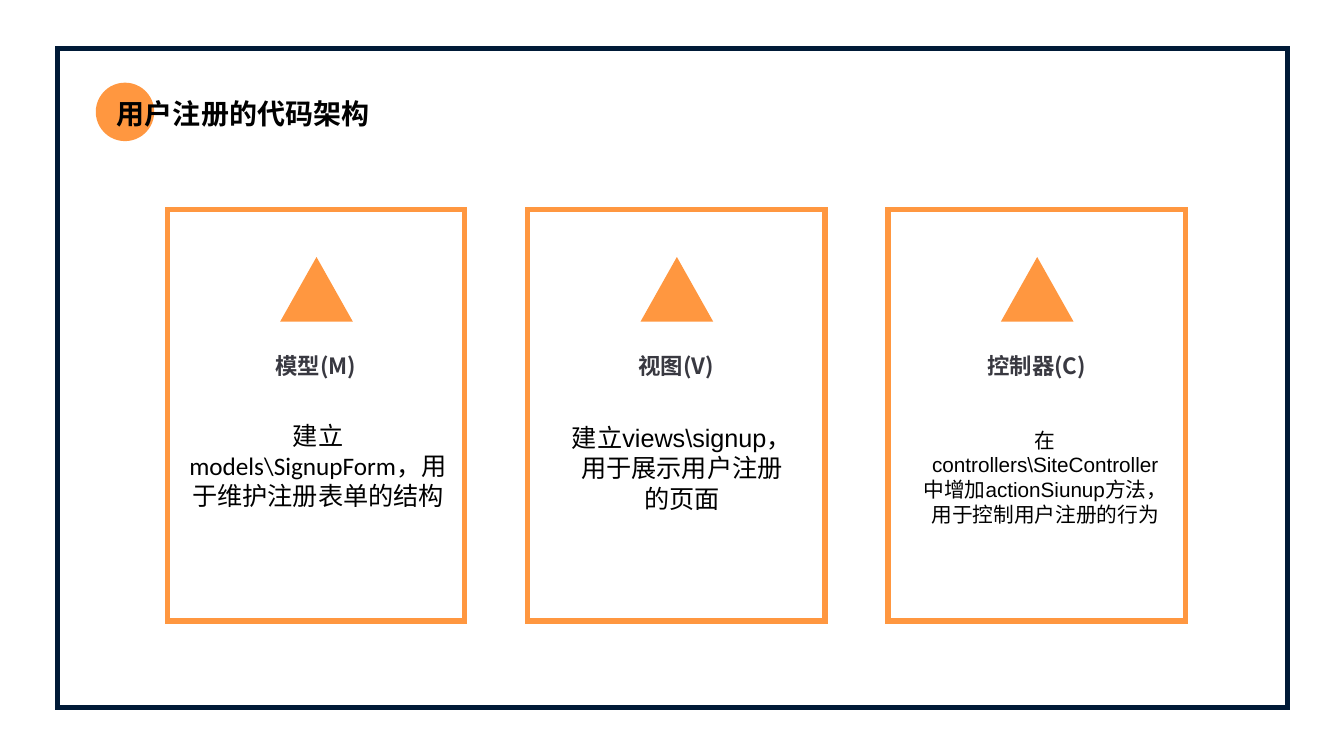
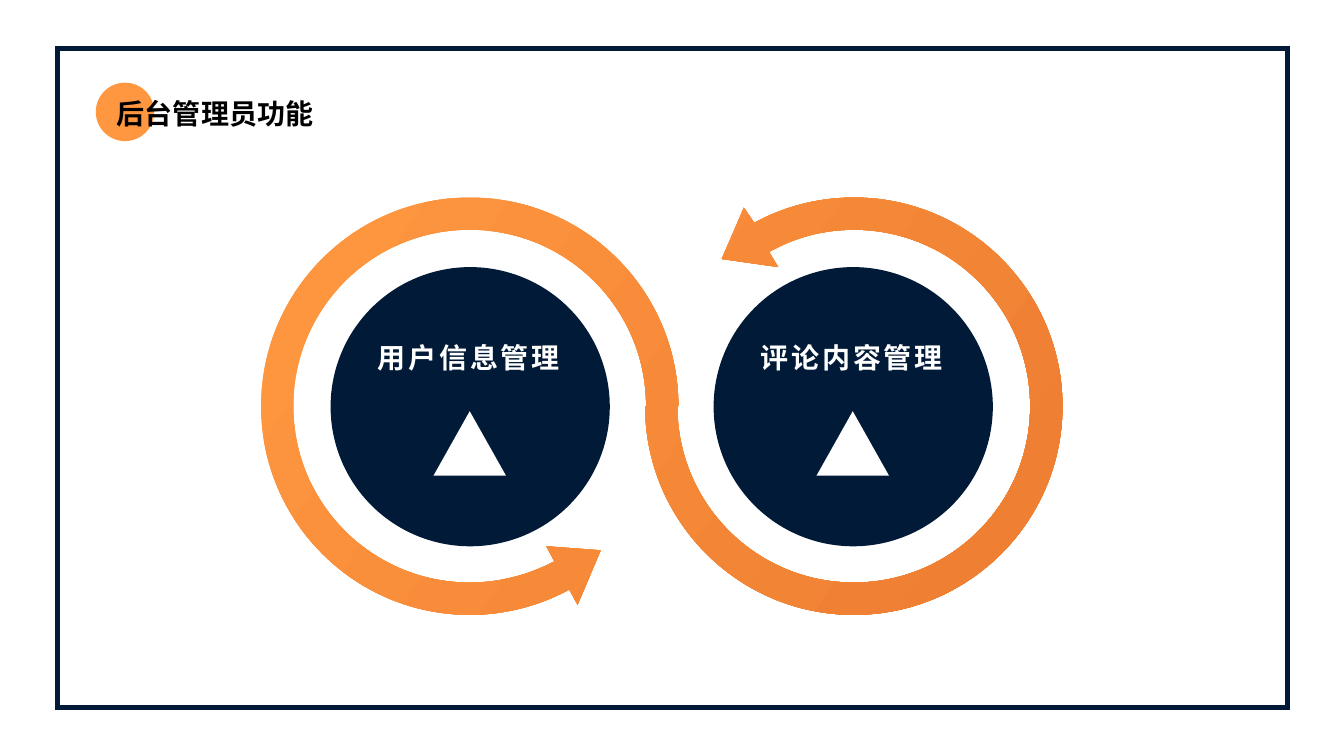
from dataclasses import dataclass
from itertools import chain, pairwise
from math import cos, radians, sin, tan

from lxml import etree
from pptx import Presentation
from pptx.dml.color import RGBColor
from pptx.enum.shapes import MSO_SHAPE
from pptx.enum.text import MSO_ANCHOR, MSO_AUTO_SIZE, PP_ALIGN
from pptx.oxml.ns import qn
from pptx.shapes.autoshape import Shape
from pptx.slide import Slide, SlideLayout
from pptx.util import Inches, Pt

Point = tuple[float, float]
Step = list[Point]  # one point for a line, three for a curve


@dataclass(frozen=True)
class Theme:
    navy: RGBColor = RGBColor(0x00, 0x1A, 0x37)
    orange: RGBColor = RGBColor(0xFF, 0x97, 0x40)
    deep_orange: RGBColor = RGBColor(0xED, 0x7D, 0x31)
    slate: RGBColor = RGBColor(0x39, 0x39, 0x41)
    black: RGBColor = RGBColor(0, 0, 0)
    white: RGBColor = RGBColor(0xFF, 0xFF, 0xFF)
    chinese_font: str = "Noto Sans CJK SC"
    title_font: str = "Calibri"
    title_size: float = 20
    heading_size: float = 16
    body_size: float = 18
    small_body_size: float = 14.8
    frame_width: float = 3.75
    card_width: float = 4


THEME = Theme()


@dataclass(frozen=True)
class Area:
    """Left, top, width and height in inches."""
    left: float
    top: float
    width: float
    height: float

    def lengths(self) -> tuple[int, int, int, int]:
        return (Inches(self.left), Inches(self.top),
                Inches(self.width), Inches(self.height))


@dataclass(frozen=True)
class TextStyle:
    font: str
    size: float
    color: RGBColor
    bold: bool = False
    align: PP_ALIGN = PP_ALIGN.CENTER
    anchor: MSO_ANCHOR = MSO_ANCHOR.TOP
    line_spacing: float = 1.0
    letter_spacing: float = 0
    inset_x: float = 0.04
    inset_y: float = 0.04
    grow: bool = False


TITLE = TextStyle(THEME.title_font, THEME.title_size, THEME.black, bold=True,
                  align=PP_ALIGN.LEFT, inset_x=0.1, inset_y=0.05, grow=True)
HEADING = TextStyle(THEME.chinese_font, THEME.heading_size, THEME.slate, bold=True,
                    anchor=MSO_ANCHOR.MIDDLE, line_spacing=0.8, grow=True)
DISC_LABEL = TextStyle(THEME.chinese_font, THEME.title_size, THEME.white, bold=True,
                       anchor=MSO_ANCHOR.MIDDLE, letter_spacing=2,
                       inset_x=0.06, inset_y=0.06, grow=True)


@dataclass(frozen=True)
class Card:
    heading: str
    body: str
    body_area: Area
    body_style: TextStyle


CARDS = [
    Card("模型(M)", "建立models\\SignupForm，用于维护注册表单的结构",
         Area(1.68, 4.12, 2.95, 0.99),
         TextStyle("Calibri", THEME.body_size, THEME.black,
                   inset_x=0.1, inset_y=0.05, grow=True)),
    Card("视图(V)", "建立views\\signup，用于展示用户注册的页面",
         Area(5.6, 4.15, 2.33, 1.06),
         TextStyle("Arial", THEME.body_size, THEME.black)),
    Card("控制器(C)",
         "在controllers\\SiteController中增加actionSiunup方法，用于控制用户注册的行为",
         Area(9.12, 4.2, 2.5, 1.28),
         TextStyle("Arial", THEME.small_body_size, THEME.black)),
]
FIRST_CARD_LEFT, LAST_CARD_LEFT = 1.66, 8.81

DISC_LABELS = ["用户信息管理", "评论内容管理"]
DISC_LEFT, DISC_PITCH = 3.28, 3.8


@dataclass(frozen=True)
class Ring:
    center_x: float
    start: float
    arrowhead: list[Point]


RINGS = [
    Ring(4.66, 0, [(5.73, 6.0), (5.96, 5.46), (5.42, 5.42), (5.5, 5.57)]),
    Ring(8.47, 180, [(7.38, 2.06), (7.16, 2.57), (7.72, 2.65), (7.63, 2.5)]),
]
RING_Y, OUTER_RADIUS, INNER_RADIUS = 4.03, 2.07, 1.75
ARC_ANGLES = [0, -90, -180, -270, -298.5]


def write_text(shape: Shape, text: str, style: TextStyle) -> None:
    frame = shape.text_frame
    frame.word_wrap = True
    frame.auto_size = MSO_AUTO_SIZE.SHAPE_TO_FIT_TEXT if style.grow else MSO_AUTO_SIZE.NONE
    frame.vertical_anchor = style.anchor
    frame.margin_left = frame.margin_right = Inches(style.inset_x)
    frame.margin_top = frame.margin_bottom = Inches(style.inset_y)
    frame.text = text
    para = frame.paragraphs[0]
    para.alignment = style.align
    para.line_spacing = style.line_spacing
    para.space_before = Pt(0)
    font = para.font
    font.size = Pt(style.size)
    font.bold = style.bold
    font.color.rgb = style.color
    font.name = style.font
    properties = para._p.pPr.find(qn("a:defRPr"))
    east_asian = etree.Element(qn("a:ea"), typeface=THEME.chinese_font)
    properties.find(qn("a:latin")).addnext(east_asian)
    if style.letter_spacing:
        properties.set("spc", str(int(style.letter_spacing * 100)))


def add_text(page: Slide, area: Area, text: str, style: TextStyle) -> None:
    write_text(page.shapes.add_textbox(*area.lengths()), text, style)


def add_solid(page: Slide, kind: MSO_SHAPE, area: Area, color: RGBColor) -> Shape:
    shape = page.shapes.add_shape(kind, *area.lengths())
    shape.shadow.inherit = False
    shape.fill.solid()
    shape.fill.fore_color.rgb = color
    shape.line.fill.background()
    return shape


def add_outline(page: Slide, area: Area, color: RGBColor, width: float) -> Shape:
    """Draw an unfilled rectangle with sharp corners."""
    shape = page.shapes.add_shape(MSO_SHAPE.RECTANGLE, *area.lengths())
    shape.shadow.inherit = False
    shape.fill.background()
    shape.line.color.rgb = color
    shape.line.width = Pt(width)
    line = shape.element.spPr.find(qn("a:ln"))
    etree.SubElement(line, qn("a:miter"), lim="800000")
    return shape


def decorate_layout(layout: SlideLayout, page: Slide) -> None:
    """Draw the frame and title dot on the page, then move them to its layout."""
    frame = add_outline(page, Area(0.57, 0.48, 12.2, 6.54), THEME.navy, THEME.frame_width)
    dot = add_solid(page, MSO_SHAPE.OVAL, Area(0.95, 0.82, 0.58, 0.58), THEME.orange)
    for position, shape in enumerate((frame, dot), start=2):
        layout.shapes.element.insert(position, shape.element)


def set_title(page: Slide, text: str) -> None:
    title = page.shapes.title
    title.left, title.top, title.width, title.height = Area(1.06, 0.91, 3.01, 0.43).lengths()
    write_text(title, text, TITLE)


def add_icon(page: Slide, left: float, top: float, color: RGBColor) -> None:
    add_solid(page, MSO_SHAPE.ISOSCELES_TRIANGLE, Area(left, top, 0.72, 0.64), color)


def add_card(page: Slide, left: float, card: Card) -> None:
    add_outline(page, Area(left, 2.08, 2.95, 4.08), THEME.orange, THEME.card_width)
    add_icon(page, left + 1.12, 2.55, THEME.orange)
    add_text(page, Area(left + 0.41, 3.5, 2.13, 0.3), card.heading, HEADING)
    add_text(page, card.body_area, card.body, card.body_style)


def arc_curve(center_x: float, radius: float, start: float, end: float) -> Step:
    """Give the two handles and the end point of an arc, angles in degrees."""
    first, last = radians(start), radians(end)
    reach = 4 / 3 * tan((last - first) / 4)
    offsets = [
        (cos(first) - reach * sin(first), sin(first) + reach * cos(first)),
        (cos(last) + reach * sin(last), sin(last) - reach * cos(last)),
        (cos(last), sin(last)),
    ]
    return [(center_x + radius * x, RING_Y + radius * y) for x, y in offsets]


def ring_steps(ring: Ring) -> list[Step]:
    angles = [ring.start + angle for angle in ARC_ANGLES]
    first = radians(ring.start)
    steps = [[(ring.center_x + OUTER_RADIUS * cos(first), RING_Y)]]
    steps += [arc_curve(ring.center_x, OUTER_RADIUS, *pair) for pair in pairwise(angles)]
    steps += [[corner] for corner in ring.arrowhead]
    steps += [arc_curve(ring.center_x, INNER_RADIUS, *pair) for pair in pairwise(angles[::-1])]
    return steps


def add_ribbon(page: Slide) -> None:
    """Draw the S-shaped double arrow made of two open rings."""
    steps = list(chain.from_iterable(ring_steps(ring) for ring in RINGS))
    points = [(Inches(x), Inches(y)) for x, y in chain.from_iterable(steps)]
    builder = page.shapes.build_freeform(*points[0])
    builder.add_line_segments(points[1:], close=True)
    ribbon = builder.convert_to_shape()
    lines = iter(list(ribbon.element.iter(qn("a:lnTo"))))
    for step in steps[1:]:
        parts = [next(lines) for _ in step]
        if len(parts) == 3:
            curve = etree.Element(qn("a:cubicBezTo"))
            parts[0].addprevious(curve)
            for part in parts:
                curve.append(part[0])
                part.getparent().remove(part)
    ribbon.shadow.inherit = False
    ribbon.line.fill.background()
    ribbon.fill.gradient()
    ribbon.fill.gradient_angle = 326
    colors = (THEME.orange, THEME.deep_orange)
    for position, (stop, color) in enumerate(zip(ribbon.fill.gradient_stops, colors)):
        stop.position = position
        stop.color.rgb = color


def add_disc(page: Slide, left: float, label: str) -> None:
    add_solid(page, MSO_SHAPE.OVAL, Area(left, 2.65, 2.77, 2.77), THEME.navy)
    add_text(page, Area(left + 0.22, 3.32, 2.3, 0.45), label, DISC_LABEL)
    add_icon(page, left + 1.02, 4.08, THEME.white)


def main() -> None:
    deck = Presentation()
    deck.slide_width, deck.slide_height = Inches(40 / 3), Inches(7.5)
    layout = deck.slide_layouts.get_by_name("Title Only")

    code_page = deck.slides.add_slide(layout)
    decorate_layout(layout, code_page)
    set_title(code_page, "用户注册的代码架构")
    card_pitch = (LAST_CARD_LEFT - FIRST_CARD_LEFT) / (len(CARDS) - 1)
    for index, card in enumerate(CARDS):
        add_card(code_page, FIRST_CARD_LEFT + index * card_pitch, card)

    admin_page = deck.slides.add_slide(layout)
    set_title(admin_page, "后台管理员功能")
    add_ribbon(admin_page)
    for index, label in enumerate(DISC_LABELS):
        add_disc(admin_page, DISC_LEFT + index * DISC_PITCH, label)

    deck.save("out.pptx")


if __name__ == "__main__":
    main()
